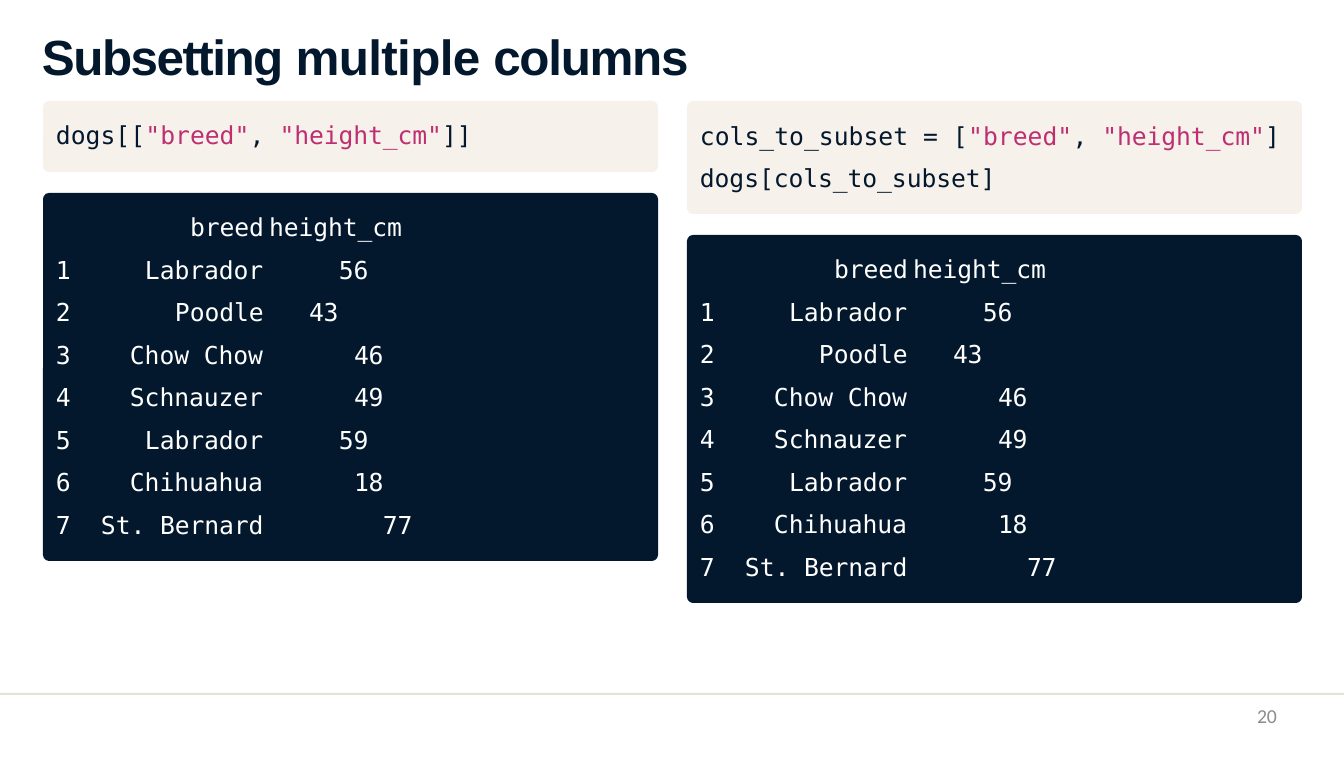
from typing import NamedTuple

from pptx import Presentation
from pptx.dml.color import RGBColor
from pptx.enum.shapes import MSO_SHAPE
from pptx.enum.text import MSO_ANCHOR, MSO_AUTO_SIZE, PP_ALIGN
from pptx.oxml.ns import qn
from pptx.shapes.autoshape import Shape
from pptx.slide import Slide
from pptx.text.text import TextFrame, _Paragraph
from pptx.util import Emu, Pt
from lxml import etree

RECTANGLE, ROUNDED = MSO_SHAPE.RECTANGLE, MSO_SHAPE.ROUNDED_RECTANGLE
LEFT, RIGHT = PP_ALIGN.LEFT, PP_ALIGN.RIGHT
TOP, GROW = MSO_ANCHOR.TOP, MSO_AUTO_SIZE.SHAPE_TO_FIT_TEXT

PIXEL = 914400 / 79
TITLE_ONLY_LAYOUT = 5
COLORS = {
    "navy": "04182D",
    "cream": "F6F2EB",
    "pink": "BE2F72",
    "white": "FFFFFF",
    "rule": "E4E1D9",
    "gray": "8C8C8C",
}
FONTS = {
    "title": {"name": "Arial", "size": Pt(45), "bold": True},
    "code": {"name": "DejaVu Sans Mono", "size": Pt(22.5), "bold": False},
    "number": {"name": "Calibri", "size": Pt(18), "bold": False},
}

PANEL_TOP, PANEL_WIDTH, PANEL_GAP, PANEL_RADIUS = 101, 615, 21, 6
OUTPUT_HEIGHT = 368
TEXT_INSET = 12
HEADER_INDENT, HEADER_TAB, VALUE_TAB = 135, 239, 343


class Box(NamedTuple):
    left: int
    top: int
    width: int
    height: int


class Piece(NamedTuple):
    """A run of text; spacing is in hundredths of a point."""
    text: str
    color: str
    spacing: int = 0


class Dog(NamedTuple):
    breed: str
    height: str
    indent: int


class Example(NamedTuple):
    left: int
    code_height: int
    code_box: Box
    line_spacing: float
    lines: list[list[Piece]]


DOGS = [
    Dog("Labrador", "56", 90),
    Dog("Poodle", "43", 120),
    Dog("Chow Chow", "46", 75),
    Dog("Schnauzer", "49", 75),
    Dog("Labrador", "59", 90),
    Dog("Chihuahua", "18", 75),
    Dog("St. Bernard", "77", 46),
]
COLUMN_NAMES = [
    Piece('"breed"', "pink"),
    Piece(", ", "navy"),
    Piece('"height_cm"', "pink", -10),
]
EXAMPLES = [
    Example(43, 71, Box(55, 119, 418, 32), 1.0, [
        [Piece("dogs[[", "navy"), *COLUMN_NAMES, Piece("]]", "navy", -10)],
    ]),
    Example(687, 113, Box(699, 107, 581, 87), 1.43, [
        [Piece("cols_to_subset = [", "navy"), *COLUMN_NAMES, Piece("]", "navy", -10)],
        [Piece("dogs[cols_to_subset]", "navy", -10)],
    ]),
]


def px(length: int) -> Emu:
    return Emu(round(length * PIXEL))


def add_panel(slide: Slide, kind: MSO_SHAPE, box: Box, color: str) -> Shape:
    shape = slide.shapes.add_shape(kind, *map(px, box))
    shape.shadow.inherit = False
    shape.fill.solid()
    shape.fill.fore_color.rgb = RGBColor.from_string(COLORS[color])
    shape.line.fill.background()
    return shape


def add_rounded_panel(slide: Slide, box: Box, color: str) -> None:
    panel = add_panel(slide, ROUNDED, box, color)
    panel.adjustments[0] = PANEL_RADIUS / min(box.width, box.height)


def format_frame(frame: TextFrame, margin_top: int) -> None:
    values = {
        "margin_left": 0,
        "margin_right": 0,
        "margin_top": px(margin_top),
        "margin_bottom": 0,
        "word_wrap": True,
        "auto_size": GROW,
        "vertical_anchor": TOP,
    }
    for name, value in values.items():
        setattr(frame, name, value)


def add_text_frame(slide: Slide, box: Box, margin_top: int) -> TextFrame:
    frame = slide.shapes.add_textbox(*map(px, box)).text_frame
    format_frame(frame, margin_top)
    return frame


def add_pieces(paragraph: _Paragraph, pieces: list[Piece], font: str) -> None:
    for piece in pieces:
        run = paragraph.add_run()
        run.text = piece.text
        for name, value in FONTS[font].items():
            setattr(run.font, name, value)
        run.font.color.rgb = RGBColor.from_string(COLORS[piece.color])
        run._r.get_or_add_rPr().set("spc", str(piece.spacing))


def set_indent(paragraph: _Paragraph, margin: int, first_line: int,
               tabs: list[int], numbered: bool = False) -> None:
    properties = paragraph._p.get_or_add_pPr()
    properties.set("marL", str(px(margin)))
    properties.set("indent", str(px(first_line)))
    if numbered:
        etree.SubElement(properties, qn("a:buAutoNum"), type="arabicPlain")
    if tabs:
        tab_list = etree.SubElement(properties, qn("a:tabLst"))
        for tab in tabs:
            etree.SubElement(tab_list, qn("a:tab"), pos=str(px(tab)), algn="l")


def add_title(slide: Slide) -> None:
    title = slide.shapes.title
    title.left, title.top, title.width, title.height = map(px, Box(41, 24, 1142, 62))
    format_frame(title.text_frame, 2)
    paragraph = title.text_frame.paragraphs[0]
    paragraph.alignment = LEFT
    set_indent(paragraph, 1, 0, [])
    add_pieces(paragraph, [
        Piece("Subsetting ", "navy", -140),
        Piece("multiple ", "navy", -60),
        Piece("columns", "navy", -120),
    ], "title")


def add_code(slide: Slide, example: Example) -> None:
    paragraph = add_text_frame(slide, example.code_box, 1).paragraphs[0]
    set_indent(paragraph, 1, 0, [])
    paragraph.line_spacing = example.line_spacing
    for index, pieces in enumerate(example.lines):
        if index:
            paragraph.add_line_break()
        add_pieces(paragraph, pieces, "code")


def add_output(slide: Slide, box: Box) -> None:
    frame = add_text_frame(slide, box, 14)
    header = frame.paragraphs[0]
    set_indent(header, HEADER_INDENT, 0, [HEADER_TAB])
    add_pieces(header, [Piece("breed\theight_cm", "white", -10)], "code")
    for dog in DOGS:
        row = frame.add_paragraph()
        set_indent(row, dog.indent, 1 - dog.indent, [dog.indent, VALUE_TAB], numbered=True)
        row.space_before = Pt(11.7)
        add_pieces(row, [
            Piece(f"{dog.breed}\t", "white", -10),
            Piece(dog.height, "white", -20),
        ], "code")


def add_example(slide: Slide, example: Example) -> None:
    output_top = PANEL_TOP + example.code_height + PANEL_GAP
    add_rounded_panel(
        slide, Box(example.left, PANEL_TOP, PANEL_WIDTH, example.code_height), "cream")
    add_rounded_panel(
        slide, Box(example.left, output_top, PANEL_WIDTH, OUTPUT_HEIGHT), "navy")
    add_code(slide, example)
    add_output(slide, Box(example.left + TEXT_INSET, output_top + 5, 374, 342))


def add_page_number(slide: Slide) -> None:
    paragraph = add_text_frame(slide, Box(968, 704, 309, 38), 0).paragraphs[0]
    paragraph.alignment = RIGHT
    add_pieces(paragraph, [Piece("20", "gray")], "number")


def main() -> None:
    presentation = Presentation()
    presentation.slide_width, presentation.slide_height = px(1344), px(757)
    slide = presentation.slides.add_slide(presentation.slide_layouts[TITLE_ONLY_LAYOUT])
    add_panel(slide, RECTANGLE, Box(0, 693, 1344, 2), "rule")
    add_title(slide)
    for example in EXAMPLES:
        add_example(slide, example)
    add_page_number(slide)
    presentation.save("out.pptx")


if __name__ == "__main__":
    main()
